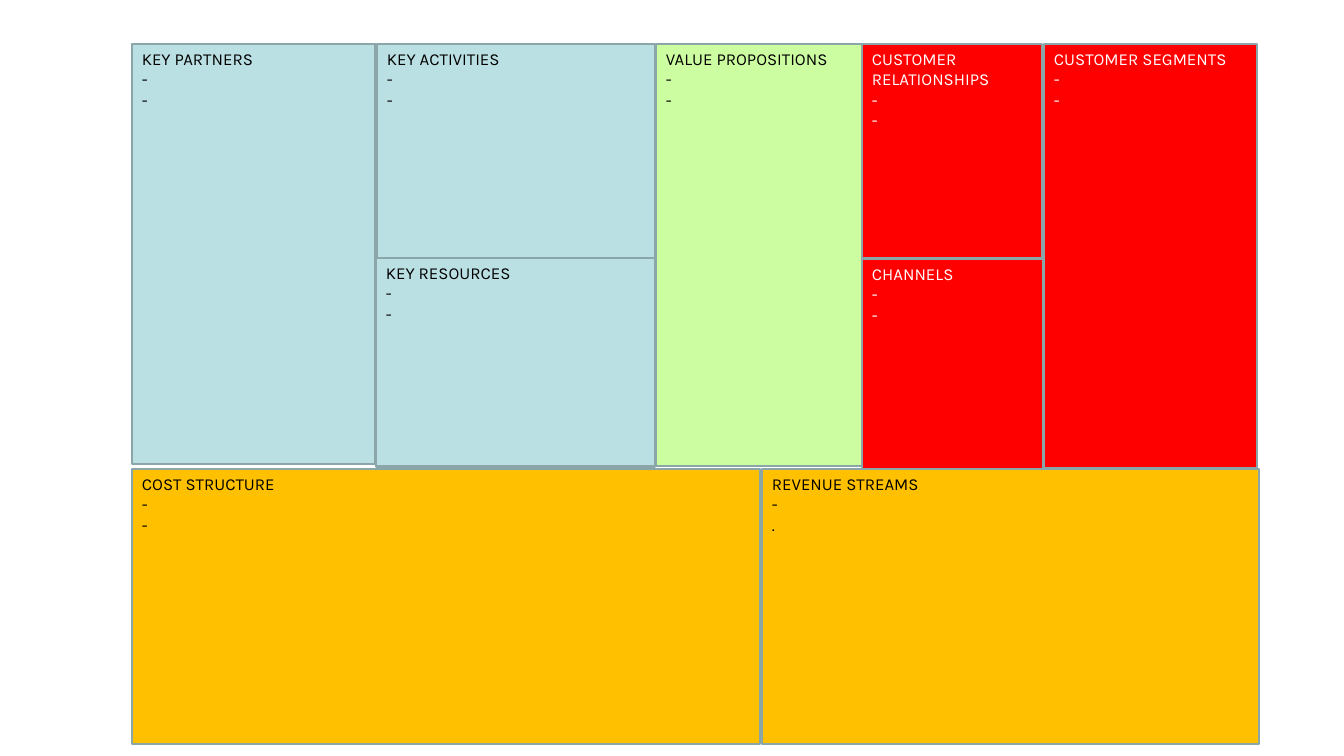
import pptx
import pptx.util
import pptx.dml.color
import pptx.enum.shapes
import pptx.enum.text

EMU_PER_PX = 914400 / 100.8


def px(n):
    return pptx.util.Emu(round(n * EMU_PER_PX))


def color(value):
    return pptx.dml.color.RGBColor.from_string(value)


prs = pptx.Presentation()
prs.slide_width, prs.slide_height = px(1344), px(756)
s = prs.slides.add_slide(prs.slide_layouts[6])

BLUE, GREEN, RED, AMBER = "BBE0E3", "CDFDA1", "FF0000", "FFC000"
BLACK, WHITE, BORDER = "000000", "FFFFFF", "8AA6A8"
TOP, BOTTOM = 44, 469  # the two bands of the canvas

# Canvas blocks: left, top, width, height, fill, text colour, lines
blocks = [
    (132, TOP, 244, 420, BLUE, BLACK, ["KEY PARTNERS", "-", "-"]),
    (377, TOP, 278, 214, BLUE, BLACK, ["KEY ACTIVITIES", "-", "-"]),
    (376, 258, 279, 209, BLUE, BLACK, ["KEY RESOURCES", "-", "-"]),
    (656, TOP, 207, 422, GREEN, BLACK, ["VALUE PROPOSITIONS", "-", "-"]),
    (862, TOP, 180, 214, RED, WHITE, ["CUSTOMER RELATIONSHIPS", "-", "-"]),
    (862, 259, 181, 210, RED, WHITE, ["CHANNELS", "-", "-"]),
    (1044, TOP, 213, 424, RED, WHITE, ["CUSTOMER SEGMENTS", "-", "-"]),
    (132, BOTTOM, 628, 275, AMBER, BLACK, ["COST STRUCTURE", "-", "-"]),
    (762, BOTTOM, 497, 275, AMBER, BLACK, ["REVENUE STREAMS", "-", "."]),
]

for left, top, width, height, fill, ink, lines in blocks:
    # Box
    sp = s.shapes.add_shape(pptx.enum.shapes.MSO_SHAPE.RECTANGLE,
                            px(left), px(top), px(width), px(height))
    sp.shadow.inherit = False
    sp.fill.solid()
    sp.fill.fore_color.rgb = color(fill)
    sp.line.color.rgb = color(BORDER)
    sp.line.width = pptx.util.Pt(2)

    # Heading and entries
    tf = sp.text_frame
    tf.word_wrap = True
    tf.vertical_anchor = pptx.enum.text.MSO_ANCHOR.TOP
    for i, line in enumerate(lines):
        p = tf.paragraphs[0] if i == 0 else tf.add_paragraph()
        p.alignment = pptx.enum.text.PP_ALIGN.LEFT
        r = p.add_run()
        r.text = line
        r.font.name = "Karla"
        r.font.size = pptx.util.Pt(12)
        r.font.color.rgb = color(ink)

prs.save("out.pptx")
